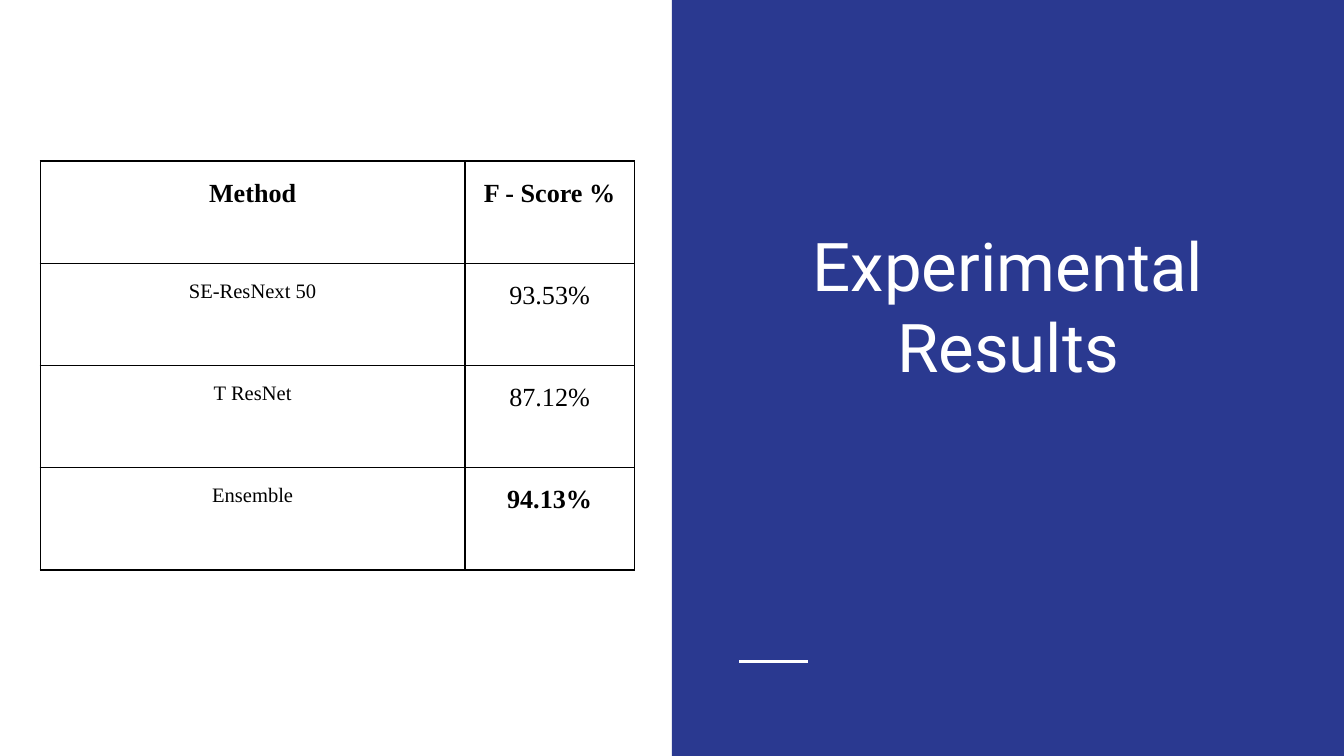
import pptx
import pptx.dml.color
import pptx.enum.shapes
import pptx.enum.text
import pptx.oxml
import pptx.oxml.ns
import pptx.util

Inches = pptx.util.Inches
Pt = pptx.util.Pt
Align = pptx.enum.text.PP_ALIGN
Anchor = pptx.enum.text.MSO_ANCHOR

TITLE = "Experimental Results"
# Each cell: text, size, bold
ROWS = [
    [("Method", 14, True), ("F - Score %", 14, True)],
    [("SE-ResNext 50", 11, False), ("93.53%", 14, False)],
    [("T ResNet", 11, False), ("87.12%", 14, False)],
    [("Ensemble", 11, False), ("94.13%", 14, True)],
]
WIDE = 10
HIGH = WIDE * 9 / 16
COLS = [3.16, 1.26]
ROW_H = 0.76
COLORS = {"panel": "2A3990", "light": "FFFFFF", "ink": "000000"}


def color(name):
    return pptx.dml.color.RGBColor.from_string(COLORS[name])


def add_run(para, text, size, font, tint, bold=False):
    para.alignment = Align.CENTER
    run = para.add_run()
    run.text = text
    run.font.size = Pt(size)
    run.font.name = font
    run.font.bold = bold
    run.font.color.rgb = color(tint)


def set_pad(box, side, end):
    box.margin_left = box.margin_right = Inches(side)
    box.margin_top = box.margin_bottom = Inches(end)


def add_panel(slide):
    panel = slide.shapes.add_shape(
        pptx.enum.shapes.MSO_SHAPE.RECTANGLE,
        Inches(WIDE / 2), 0, Inches(WIDE / 2), Inches(HIGH))
    panel.shadow.inherit = False
    panel.fill.solid()
    panel.fill.fore_color.rgb = color("panel")
    panel.line.fill.background()
    # Send behind the title
    slide.shapes._spTree.insert(2, panel._element)


def add_rule(slide):
    rule = slide.shapes.add_connector(
        pptx.enum.shapes.MSO_CONNECTOR.STRAIGHT,
        Inches(5.5), Inches(4.92), Inches(6.01), Inches(4.92))
    rule.line.color.rgb = color("light")
    rule.line.width = Pt(1.5)
    props = rule._element.spPr
    props.append(pptx.oxml.parse_xml(
        f"<a:effectLst {pptx.oxml.ns.nsdecls('a')}/>"))


def set_title(slide):
    title = slide.shapes.title
    title.left, title.top = Inches(5.29), Inches(1.26)
    title.width, title.height = Inches(4.42), Inches(1.71)
    frame = title.text_frame
    frame.word_wrap = True
    frame.auto_size = pptx.enum.text.MSO_AUTO_SIZE.NONE
    frame.vertical_anchor = Anchor.BOTTOM
    set_pad(frame, 0.1, 0.1)
    add_run(frame.paragraphs[0], TITLE, 36, "Roboto", "light")


def add_edges(cell):
    props = cell._tc.get_or_add_tcPr()
    for spot, side in enumerate(("lnL", "lnR", "lnT", "lnB")):
        props.insert(spot, pptx.oxml.parse_xml(
            f"<a:{side} {pptx.oxml.ns.nsdecls('a')} w='{Pt(1)}'>"
            f"<a:solidFill><a:srgbClr val='{COLORS['ink']}'/></a:solidFill>"
            f"</a:{side}>"))


def fill_cell(cell, text, size, bold):
    cell.fill.background()
    cell.vertical_anchor = Anchor.TOP
    set_pad(cell, 0.07, 0.1)
    para = cell.text_frame.paragraphs[0]
    para.line_spacing = 1.15
    para.space_before = para.space_after = Pt(12)
    add_run(para, text, size, "Times New Roman", "ink", bold)
    add_edges(cell)


def add_scores(slide):
    table = slide.shapes.add_table(
        len(ROWS), len(COLS), Inches(0.3), Inches(1.2),
        Inches(sum(COLS)), Inches(ROW_H * len(ROWS))).table
    table.first_row = table.horz_banding = False
    for col, width in zip(table.columns, COLS):
        col.width = Inches(width)
    for r, row in enumerate(ROWS):
        table.rows[r].height = Inches(ROW_H)
        for c, (text, size, bold) in enumerate(row):
            fill_cell(table.cell(r, c), text, size, bold)


def main():
    deck = pptx.Presentation()
    deck.slide_width, deck.slide_height = Inches(WIDE), Inches(HIGH)
    slide = deck.slides.add_slide(deck.slide_layouts[5])
    slide.background.fill.solid()
    slide.background.fill.fore_color.rgb = color("light")
    add_panel(slide)
    add_rule(slide)
    set_title(slide)
    add_scores(slide)
    deck.save("out.pptx")


if __name__ == "__main__":
    main()
